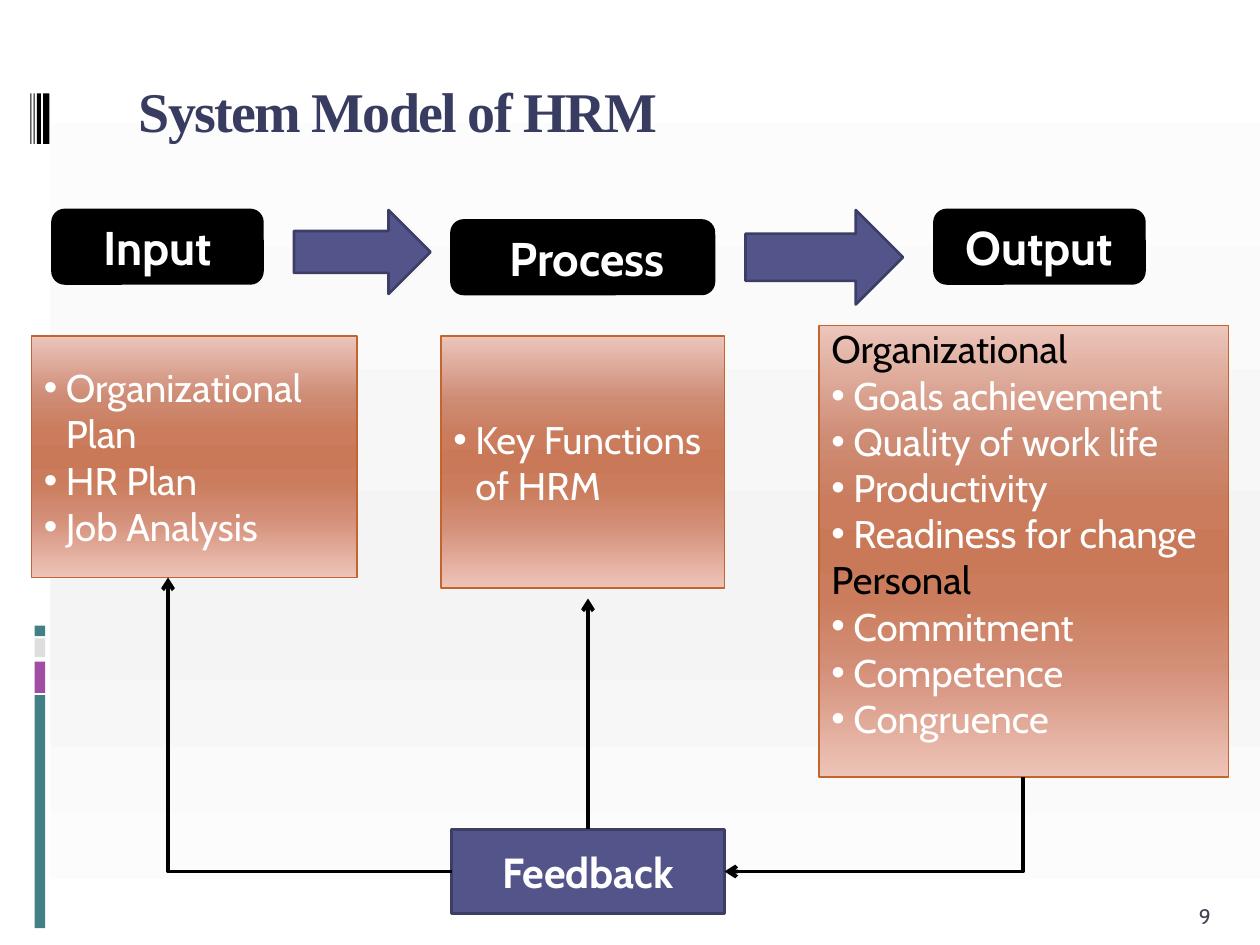
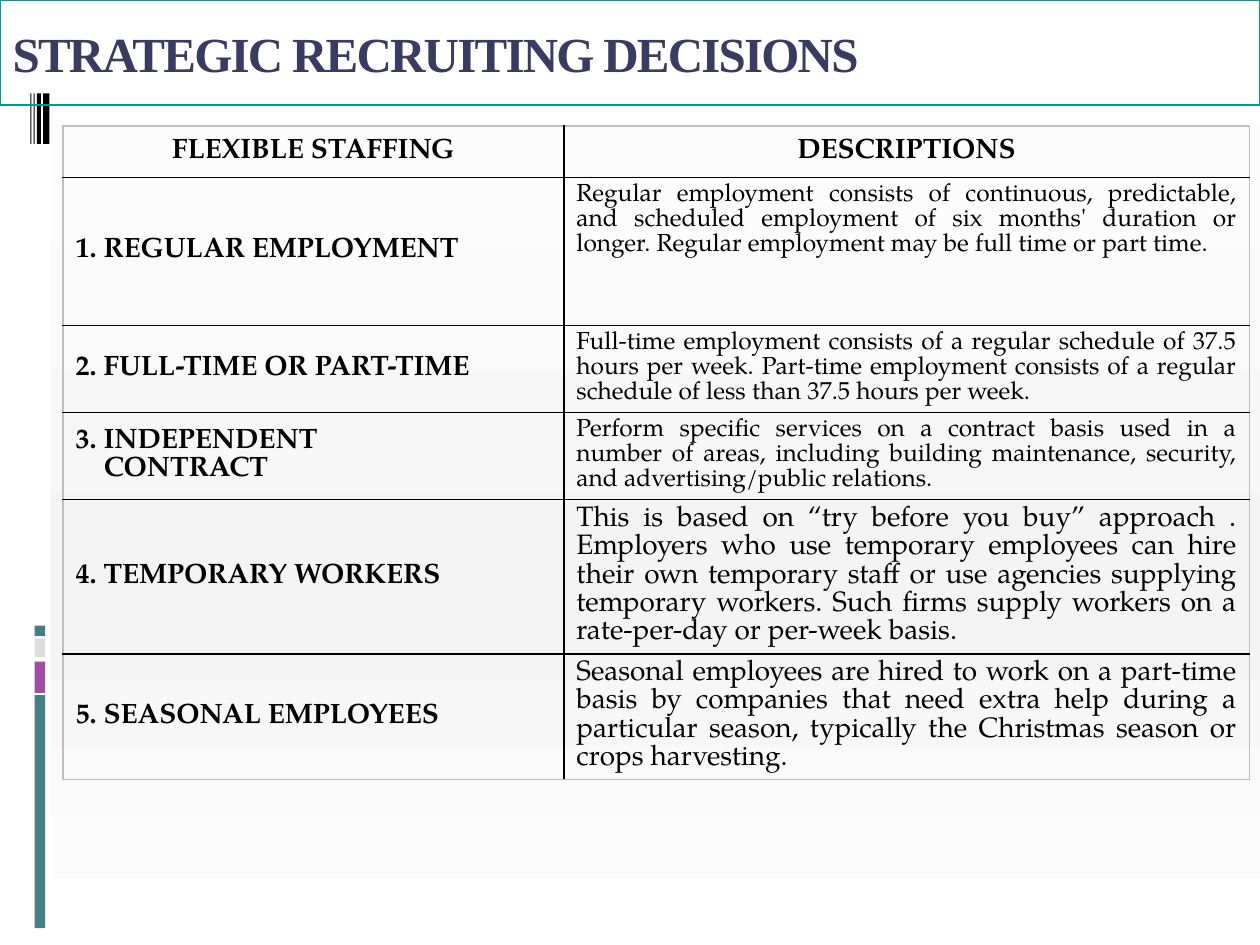
import lxml.etree
import pptx
import pptx.dml.color
import pptx.enum.shapes
import pptx.enum.text
import pptx.oxml.ns
import pptx.util

qn = pptx.oxml.ns.qn
SHAPE = pptx.enum.shapes.MSO_SHAPE
CONNECTOR = pptx.enum.shapes.MSO_CONNECTOR
ANCHOR = pptx.enum.text.MSO_ANCHOR
ALIGN = pptx.enum.text.PP_ALIGN


class Theme:
    title_font, body_font, table_font = "Times New Roman", "Cabin", "TeX Gyre Pagella"
    black, white, grey = "000000", "FFFFFF", "DEDEDE"
    title, number = "383C60", "424456"
    indigo, indigo_edge = "53548A", "3D3E66"
    teal, purple, title_edge = "438086", "A04DA3", "009999"
    card_edge, table_edge = "C4652D", "BFBFBF"
    backdrop = [(0, "FFFFFF"), (65, "F4F4F4"), (100, "FFFFFF")]
    card = [(0, "ECC5BB"), (25, "CE8C75"), (40, "CA7C5C"), (50, "C97958"),
            (60, "CA7C5C"), (75, "D38E77"), (100, "EEC4B8")]
    size_title, size_band, size_stage, size_feedback = 32, 28, 27, 24
    size_card, size_number, size_cell, size_small = 22, 12, 16, 14


def px(n):
    return pptx.util.Emu(n * 7620)


def px_box(box):
    return [px(n) for n in box]


def rgb(color):
    return pptx.dml.color.RGBColor.from_string(color)


def add_element(parent, tag, **attributes):
    return lxml.etree.SubElement(parent, qn(tag), attributes)


def fill_gradient(fill, element, stops):
    fill.gradient()
    fill.gradient_angle = 270
    stop_list = next(element.iter(qn("a:gsLst")))
    for stop in list(stop_list):
        stop_list.remove(stop)
    for position, color in stops:
        stop = add_element(stop_list, "a:gs", pos=str(position * 1000))
        add_element(stop, "a:srgbClr", val=color)


def set_line(line, color, width):
    line.color.rgb = rgb(color)
    line.width = pptx.util.Pt(width)


def format_runs(p, font, size, color, bold=False):
    for r in p.runs:
        r.font.name = font
        r.font.size = pptx.util.Pt(size)
        r.font.color.rgb = rgb(color)
        r.font.bold = bold


def indent(p, left, first=0):
    pPr = p._p.get_or_add_pPr()
    pPr.set("marL", str(px(left)))
    pPr.set("indent", str(px(first)))
    return pPr


def add_block(s, kind, box, fill=None, edge=None, width=1.5):
    sp = s.shapes.add_shape(kind, *px_box(box))
    sp.shadow.inherit = False
    if fill:
        sp.fill.solid()
        sp.fill.fore_color.rgb = rgb(fill)
    if edge:
        set_line(sp.line, edge, width)
    else:
        sp.line.fill.background()
    return sp


def add_label(s, kind, box, text, size, fill, edge):
    sp = add_block(s, kind, box, fill, edge)
    tf = sp.text_frame
    tf.text = text
    tf.word_wrap = True
    tf.vertical_anchor = ANCHOR.MIDDLE
    tf.paragraphs[0].alignment = ALIGN.CENTER
    format_runs(tf.paragraphs[0], Theme.body_font, size, Theme.white, True)
    return sp


def add_side_rail(s, box):
    x, y, w, h = box
    add_block(s, SHAPE.RECTANGLE, box, Theme.white)
    for top, height, color in [(662, 222, Theme.teal), (630, 30, Theme.purple),
                               (608, 18, Theme.grey), (596, 10, Theme.teal)]:
        add_block(s, SHAPE.RECTANGLE, (x + 33, y + top, 10, height), color)
    for left, width in [(41, 6), (35, 4), (32, 1), (29, 1)]:
        add_block(s, SHAPE.RECTANGLE, (x + left, y + 89, width, 48), Theme.black)


def set_title(s, box, text, size, anchor):
    sp = s.shapes.title
    sp.left, sp.top, sp.width, sp.height = px_box(box)
    tf = sp.text_frame
    tf.text = text
    tf.word_wrap = True
    tf.vertical_anchor = anchor
    p = tf.paragraphs[0]
    p.alignment = ALIGN.LEFT
    format_runs(p, Theme.title_font, size, Theme.title, True)
    for r in p.runs:
        r.font._element.set("spc", "-100")
    return sp


def add_card(s, box, items, headings=(), anchor=ANCHOR.MIDDLE):
    sp = add_block(s, SHAPE.RECTANGLE, box, edge=Theme.card_edge, width=0.94)
    fill_gradient(sp.fill, sp._element, Theme.card)
    tf = sp.text_frame
    tf.word_wrap = True
    tf.vertical_anchor = anchor
    if anchor == ANCHOR.TOP:
        tf.margin_top = 0
    tf.text = "\n".join(items)
    for p in tf.paragraphs:
        p.alignment = ALIGN.LEFT
        heading = p.text in headings
        if not heading:
            pPr = indent(p, 21, -21)
            add_element(pPr, "a:buFont", typeface="Arial")
            add_element(pPr, "a:buChar", char="•")
        format_runs(p, Theme.body_font, Theme.size_card,
                    Theme.black if heading else Theme.white)


def style_arrow(connector):
    set_line(connector.line, Theme.black, 2.25)
    add_element(connector.line._get_or_add_ln(), "a:tailEnd", type="arrow")
    add_element(connector._element.spPr, "a:effectLst")


def add_bent_arrow(s, box, rotation):
    x, y, w, h = box
    connector = s.shapes.add_connector(CONNECTOR.ELBOW, *px_box((x, y, x + w, y + h)))
    spPr = connector._element.spPr
    spPr.find(qn("a:prstGeom")).set("prst", "bentConnector2")
    spPr.find(qn("a:xfrm")).set("rot", str(rotation * 60000))
    style_arrow(connector)


def add_stages(s, box):
    x, y, w, h = box
    for left, top, width, text in [(20, 0, 200, "Input"), (400, 10, 250, "Process"),
                                   (860, 0, 200, "Output")]:
        sp = add_label(s, SHAPE.ROUNDED_RECTANGLE, (x + left, y + top, width, 70),
                       text, Theme.size_stage, Theme.black, Theme.black)
        if text == "Process":
            sp.text_frame.margin_left = px(20)
    for left, width, height in [(250, 130, 80), (680, 150, 90)]:
        add_block(s, SHAPE.RIGHT_ARROW, (x + left, y, width, height),
                  Theme.indigo, Theme.indigo_edge)


def add_cards(s, box):
    x, y, w, h = box
    add_card(s, (x, y + 10, 310, 230), ["Organizational Plan", "HR Plan", "Job Analysis"])
    add_card(s, (x + 390, y + 10, 270, 240), ["Key Functions of HRM"])
    add_card(s, (x + 750, y, 390, h),
             ["Organizational", "Goals achievement", "Quality of work life",
              "Productivity", "Readiness for change", "Personal", "Commitment",
              "Competence", "Congruence"],
             ("Organizational", "Personal"), ANCHOR.TOP)


def add_feedback(s, box):
    x, y, w, h = box
    feedback = add_label(s, SHAPE.RECTANGLE, (x + 270, y + 240, 260, 80), "Feedback",
                         Theme.size_feedback, Theme.indigo, Theme.indigo_edge)
    add_bent_arrow(s, (x + 627, y + 93, 90, 284), 90)
    add_bent_arrow(s, (x, y, 270, 280), 180)
    up = s.shapes.add_connector(CONNECTOR.STRAIGHT,
                                *px_box((x + 400, y + 240, x + 400, y + 20)))
    up.begin_connect(feedback, 0)
    style_arrow(up)


def add_page_number(s, box, text):
    tf = s.shapes.add_textbox(*px_box(box)).text_frame
    tf.text = text
    tf.word_wrap = True
    tf.vertical_anchor = ANCHOR.BOTTOM
    format_runs(tf.paragraphs[0], Theme.body_font, Theme.size_number, Theme.number)


def set_borders(cell, sides):
    tcPr = cell._tc.get_or_add_tcPr()
    for position, (side, outer) in enumerate(sides.items()):
        ln = lxml.etree.Element(qn(f"a:ln{side}"), w="12700")
        color = Theme.table_edge if outer else Theme.black
        add_element(add_element(ln, "a:solidFill"), "a:srgbClr", val=color)
        tcPr.insert(position, ln)


def fill_cell(cell, text, size, bold, align, anchor):
    cell.fill.background()
    cell.vertical_anchor = anchor
    cell.text = text
    for i, p in enumerate(cell.text_frame.paragraphs):
        p.alignment = align
        if i:
            indent(p, 27)
        format_runs(p, Theme.table_font, size, Theme.black, bold)


def add_staffing_table(s, box, rows, heights):
    x, y, w, h = box
    table = s.shapes.add_table(len(rows), 2, *px_box(box)).table
    table.first_row = table.horz_banding = False
    for column, width in zip(table.columns, (477, w - 477)):
        column.width = px(width)
    for i, (name, description, size, anchor) in enumerate(rows):
        table.rows[i].height = px(heights[i])
        header = i == 0
        fill_cell(table.cell(i, 0), name, Theme.size_cell, True,
                  ALIGN.CENTER if header else ALIGN.LEFT, ANCHOR.MIDDLE)
        fill_cell(table.cell(i, 1), description, size, header,
                  ALIGN.CENTER if header else ALIGN.JUSTIFY, anchor)
        for j in range(2):
            set_borders(table.cell(i, j), {"L": j == 0, "R": j == 1, "T": header,
                                           "B": i == len(rows) - 1})


def new_slide(prs):
    s = prs.slides.add_slide(prs.slide_layouts.get_by_name("Title Only"))
    add_side_rail(s, (0, 0, 48, 900))
    title = s.shapes.title._element
    title.getparent().append(title)
    return s


def build_system_model(prs):
    s = new_slide(prs)
    set_title(s, (120, 67, 1020, 120), "System Model of HRM", Theme.size_title, ANCHOR.TOP)
    add_stages(s, (30, 200, 1140, 90))
    add_cards(s, (30, 310, 1140, 430))
    add_feedback(s, (160, 550, 815, 320))
    add_page_number(s, (1130, 842, 60, 48), "9")


def build_recruiting(prs):
    s = new_slide(prs)
    sp = set_title(s, (0, 0, 1200, 100), "STRATEGIC RECRUITING DECISIONS",
                   Theme.size_band, ANCHOR.MIDDLE)
    set_line(sp.line, Theme.title_edge, 0.75)
    small, large = Theme.size_small, Theme.size_cell
    rows = [
        ("FLEXIBLE STAFFING", "DESCRIPTIONS", large, ANCHOR.MIDDLE),
        ("1. REGULAR EMPLOYMENT",
         "Regular employment consists of continuous, predictable, and scheduled "
         "employment of six months' duration or longer. Regular employment may be "
         "full time or part time.", small, ANCHOR.TOP),
        ("2. FULL-TIME OR PART-TIME",
         "Full-time employment consists of a regular schedule of 37.5 hours per week. "
         "Part-time employment consists of a regular schedule of less than 37.5 hours "
         "per week.", small, ANCHOR.TOP),
        ("3. INDEPENDENT\nCONTRACT",
         "Perform specific services on a contract basis used in a number of areas, "
         "including building maintenance, security, and advertising/public relations.",
         small, ANCHOR.TOP),
        ("4. TEMPORARY WORKERS",
         "This is based on “try before you buy” approach . Employers who use temporary "
         "employees can hire their own temporary staff or use agencies supplying "
         "temporary workers. Such firms supply workers on a rate-per-day or per-week "
         "basis.", large, ANCHOR.MIDDLE),
        ("5. SEASONAL EMPLOYEES",
         "Seasonal employees are hired to work on a part-time basis by companies that "
         "need extra help during a particular season, typically the Christmas season "
         "or crops harvesting.", large, ANCHOR.TOP),
    ]
    add_staffing_table(s, (60, 120, 1130, 622), rows, (49, 141, 83, 83, 147, 119))


def main():
    prs = pptx.Presentation()
    prs.slide_width, prs.slide_height = px(1200), px(900)
    master = prs.slide_master
    fill_gradient(master.background.fill, master._element, Theme.backdrop)
    build_system_model(prs)
    build_recruiting(prs)
    prs.save("out.pptx")


if __name__ == "__main__":
    main()
